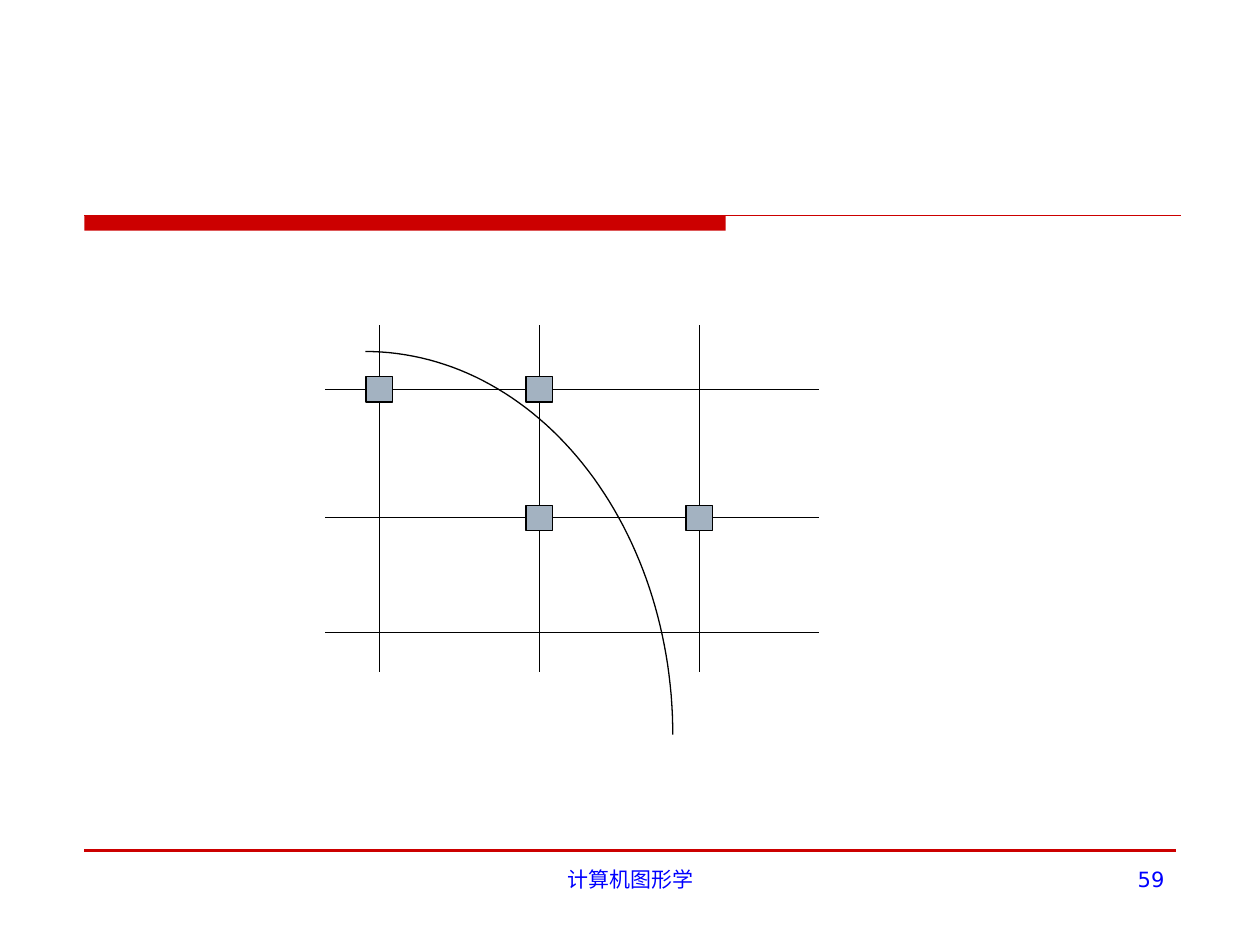
from math import cos, pi, sin

from lxml.etree import SubElement
from pptx import Presentation
from pptx.dml.color import RGBColor
from pptx.enum.shapes import MSO_CONNECTOR as CONN, MSO_SHAPE as SHAPE
from pptx.enum.text import PP_ALIGN as ALIGN
from pptx.oxml.ns import qn
from pptx.util import Inches, Pt

RED, BLACK, BLUE, GRAY = "CC0000", "000000", "0000FF", "A3B2C1"
FONT = "DejaVu Sans"
COLUMNS = [3.01 + 1.27 * i for i in range(3)]
ROWS = [3.09, 4.11, 5.02]
GRID_X, GRID_Y = (2.58, 6.5), (2.58, 5.33)
PIXELS = [(0, 0), (1, 0), (1, 1), (2, 1)]
PIXEL_W, PIXEL_H = 0.21, 0.2
CENTER, RADII, STEPS = (2.9, 5.83), (2.44, 3.04), 60
MARGIN = 0.67
FOOTERS = [("计算机图形学", 3.42, 3.17, ALIGN.CENTER), ("59", 7.17, 2.17, ALIGN.RIGHT)]


def rgb(color):
    """Turn a hex string into a colour."""
    return RGBColor.from_string(color)


def outline(sp, color, width=0.75):
    """Give a shape or connector a solid line."""
    sp.line.color.rgb = rgb(color)
    sp.line.width = Pt(width)


def add_line(s, x1, y1, x2, y2, color=BLACK, width=0.75):
    """Draw a straight line without a shadow."""
    sp = s.shapes.add_connector(CONN.STRAIGHT, *map(Inches, (x1, y1, x2, y2)))
    outline(sp, color, width)
    SubElement(sp._element.spPr, qn("a:effectLst"))


def add_rect(s, x, y, w, h, fill, line=None):
    """Draw a filled rectangle, outlined if a line colour is given."""
    sp = s.shapes.add_shape(SHAPE.RECTANGLE, *map(Inches, (x, y, w, h)))
    sp.shadow.inherit = False
    sp.fill.solid()
    sp.fill.fore_color.rgb = rgb(fill)
    if line:
        outline(sp, line)
    else:
        sp.line.fill.background()


def add_text(s, text, x, y, w, h, *, align, size=12, color=BLUE):
    """Add a one-line text box."""
    tf = s.shapes.add_textbox(*map(Inches, (x, y, w, h))).text_frame
    tf.word_wrap = True
    p = tf.paragraphs[0]
    p.alignment = align
    r = p.add_run()
    r.text = text
    r.font.size, r.font.name = Pt(size), FONT
    r.font.color.rgb = rgb(color)
    for tag in ("a:ea", "a:cs"):
        SubElement(r.font._element, qn(tag), typeface=FONT)


def add_arc(s):
    """Draw the quarter ellipse from its top to its right end."""
    (cx, cy), (rx, ry) = CENTER, RADII
    angles = [pi / 2 * i / STEPS for i in range(STEPS + 1)]
    points = [(Inches(cx + rx * sin(a)), Inches(cy - ry * cos(a))) for a in angles]
    builder = s.shapes.build_freeform(*points[0])
    builder.add_line_segments(points[1:], close=False)
    sp = builder.convert_to_shape()
    sp.shadow.inherit = False
    sp.fill.background()
    outline(sp, BLACK)


def main():
    """Build the slide."""
    prs = Presentation()
    prs.slide_width, prs.slide_height = Inches(10), Inches(7.5)
    s = prs.slides.add_slide(prs.slide_layouts[6])
    add_rect(s, MARGIN, 1.71, 5.09, 0.12, RED)
    add_line(s, MARGIN, 1.71, 9.37, 1.71, RED)
    add_line(s, MARGIN, 6.75, 9.33, 6.75, RED, 2.25)
    for text, x, w, align in FOOTERS:
        add_text(s, text, x, 6.83, w, 0.52, align=align)
    for y in ROWS:
        add_line(s, GRID_X[0], y, GRID_X[1], y)
    for x in COLUMNS:
        add_line(s, x, GRID_Y[0], x, GRID_Y[1])
    add_arc(s)
    for col, row in PIXELS:
        add_rect(s, COLUMNS[col] - PIXEL_W / 2, ROWS[row] - PIXEL_H / 2,
                 PIXEL_W, PIXEL_H, GRAY, BLACK)
    prs.save("out.pptx")


if __name__ == "__main__":
    main()
